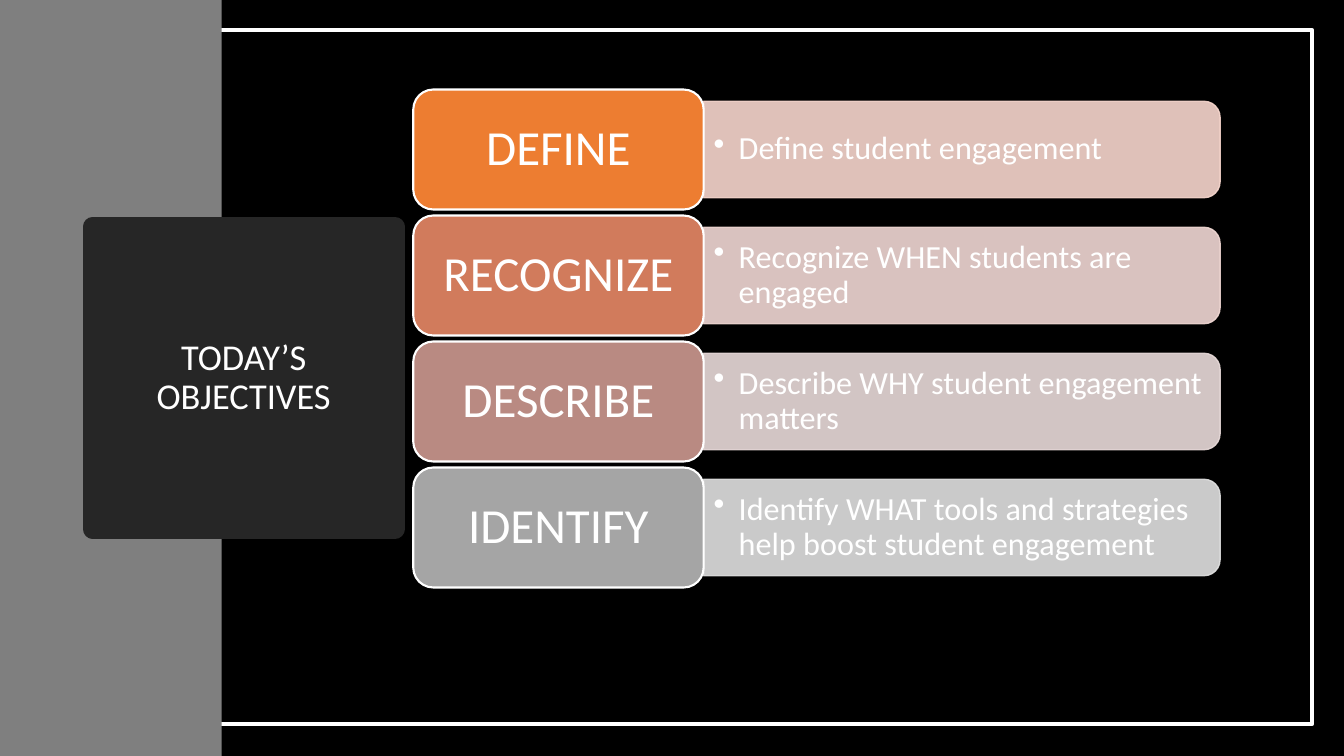
from lxml import etree
from pptx import Presentation
from pptx.dml.color import RGBColor
from pptx.enum.shapes import MSO_SHAPE
from pptx.enum.text import MSO_ANCHOR, PP_ALIGN
from pptx.oxml.ns import qn
from pptx.util import Pt

RECTANGLE = MSO_SHAPE.RECTANGLE
ROUNDED = MSO_SHAPE.ROUNDED_RECTANGLE
ROUND_TOP = MSO_SHAPE.ROUND_2_SAME_RECTANGLE
MIDDLE = MSO_ANCHOR.MIDDLE
LEFT, CENTER = PP_ALIGN.LEFT, PP_ALIGN.CENTER

# Content: label, objective, label colour, panel colour
TITLE = "TODAY’S OBJECTIVES"
OBJECTIVES = [
    ("DEFINE", "Define student engagement", "ED7D31", "F8D7CE"),
    ("RECOGNIZE", "Recognize WHEN students are engaged", "D17B5C", "F1D8D4"),
    ("DESCRIBE", "Describe WHY student engagement matters", "B98A82", "E9DBDA"),
    ("IDENTIFY", "Identify WHAT tools and strategies help boost student engagement",
     "A5A5A5", "E1E1E1"),
]

THEME = {
    "font": "Calibri", "background": "000000", "light": "FFFFFF",
    "sidebar": "7F7F7F", "title_box": "262626", "panel_opacity": 90,
    "title_size": 26, "label_size": 35, "objective_size": 23,
}

# Layout in points
PAGE_WIDTH, PAGE_HEIGHT = 960, 540
FRAME = (21.6, 21.6, 915.8, 495.4)
SIDEBAR_WIDTH = 158.4
TITLE_BOX = (66.2, 162, 216, 216)
FIRST_CENTER, ROW_PITCH = 106.8, 90
LABEL_LEFT, LABEL_WIDTH, LABEL_HEIGHT = 295.2, 207.4, 85.7
PANEL_LEFT = LABEL_LEFT + LABEL_WIDTH
PANEL_WIDTH, PANEL_HEIGHT = 368.9, 68.9
TEXT_WIDTH, TEXT_HEIGHT = 365, 62
BULLET_INDENT = 18


def color(name):
    return RGBColor.from_string(name)


def add_box(page, kind, place, fill, line=None, line_width=0):
    box = page.shapes.add_shape(kind, *map(Pt, place))
    box.shadow.inherit = False
    box.fill.solid()
    box.fill.fore_color.rgb = color(fill)
    if line:
        box.line.color.rgb = color(line)
        box.line.width = Pt(line_width)
    else:
        box.line.fill.background()
    return box


def write(box, text, size, align, insets):
    frame = box.text_frame
    frame.word_wrap = True
    frame.vertical_anchor = MIDDLE
    frame.margin_left = frame.margin_right = Pt(insets[0])
    frame.margin_top = frame.margin_bottom = Pt(insets[1])
    para = frame.paragraphs[0]
    para.text = text
    para.alignment = align
    para.line_spacing = 0.9
    para.font.name = THEME["font"]
    para.font.size = Pt(size)
    para.font.color.rgb = color(THEME["light"])
    return para


def add_bullet(para):
    properties = para._p.get_or_add_pPr()
    properties.set("marL", str(Pt(BULLET_INDENT)))
    properties.set("indent", str(-Pt(BULLET_INDENT)))
    bullet = etree.Element(qn("a:buChar"), char="•")
    properties.find(qn("a:lnSpc")).addnext(bullet)


def set_opacity(box, percent):
    # Covers the fill and the outline
    for tint in box._element.spPr.iter(qn("a:srgbClr")):
        etree.SubElement(tint, qn("a:alpha"), val=str(percent * 1000))


def add_objective(page, center, label, objective, label_fill, panel_fill):
    # Panel: drawn upright, then turned so its round corners face right
    middle = PANEL_LEFT + PANEL_WIDTH / 2
    panel = add_box(page, ROUND_TOP,
                    (middle - PANEL_HEIGHT / 2, center - PANEL_WIDTH / 2,
                     PANEL_HEIGHT, PANEL_WIDTH), panel_fill, panel_fill, 1)
    panel.rotation = 90
    set_opacity(panel, THEME["panel_opacity"])

    # Objective text
    text_box = page.shapes.add_textbox(
        Pt(PANEL_LEFT), Pt(center - TEXT_HEIGHT / 2), Pt(TEXT_WIDTH), Pt(TEXT_HEIGHT))
    add_bullet(write(text_box, objective, THEME["objective_size"], LEFT, (7.2, 3.6)))

    # Label
    label_box = add_box(page, ROUNDED,
                        (LABEL_LEFT, center - LABEL_HEIGHT / 2, LABEL_WIDTH, LABEL_HEIGHT),
                        label_fill, THEME["light"], 1.5)
    write(label_box, label, THEME["label_size"], CENTER, (15, 9))


def main():
    deck = Presentation()
    deck.slide_width, deck.slide_height = Pt(PAGE_WIDTH), Pt(PAGE_HEIGHT)
    page = deck.slides.add_slide(deck.slide_layouts[6])
    page.background.fill.solid()
    page.background.fill.fore_color.rgb = color(THEME["background"])

    # Frame and sidebar
    add_box(page, RECTANGLE, FRAME, THEME["background"], THEME["light"], 3)
    add_box(page, RECTANGLE, (0, 0, SIDEBAR_WIDTH, PAGE_HEIGHT), THEME["sidebar"])

    # Title: a thick outline with round joins softens the corners
    title_box = add_box(page, RECTANGLE, TITLE_BOX, THEME["title_box"],
                        THEME["title_box"], 13.75)
    etree.SubElement(title_box.line._get_or_add_ln(), qn("a:round"))
    write(title_box, TITLE, THEME["title_size"], CENTER, (7.2, 3.6))

    # Objectives
    for row, objective in enumerate(OBJECTIVES):
        add_objective(page, FIRST_CENTER + row * ROW_PITCH, *objective)

    deck.save("out.pptx")


if __name__ == "__main__":
    main()
